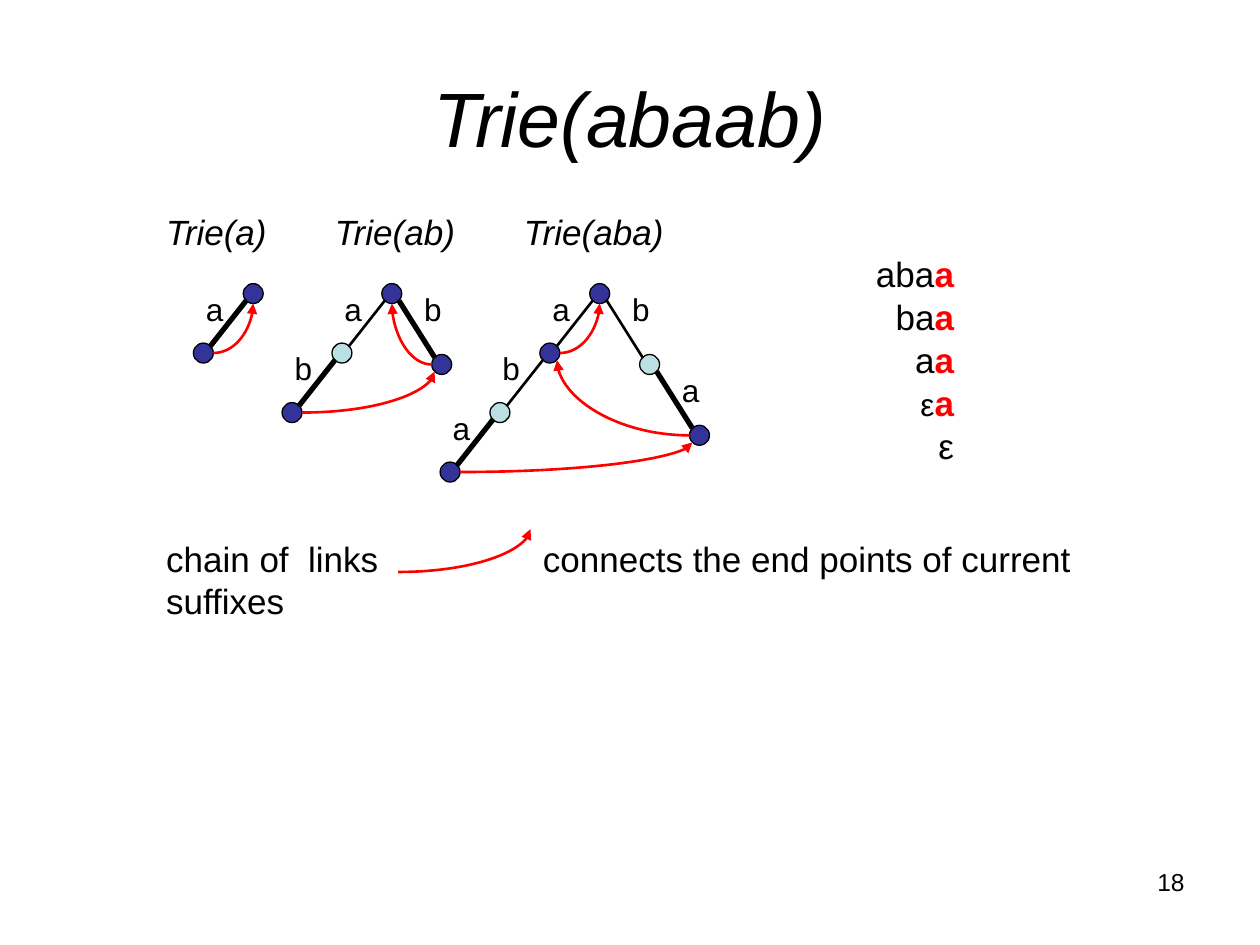
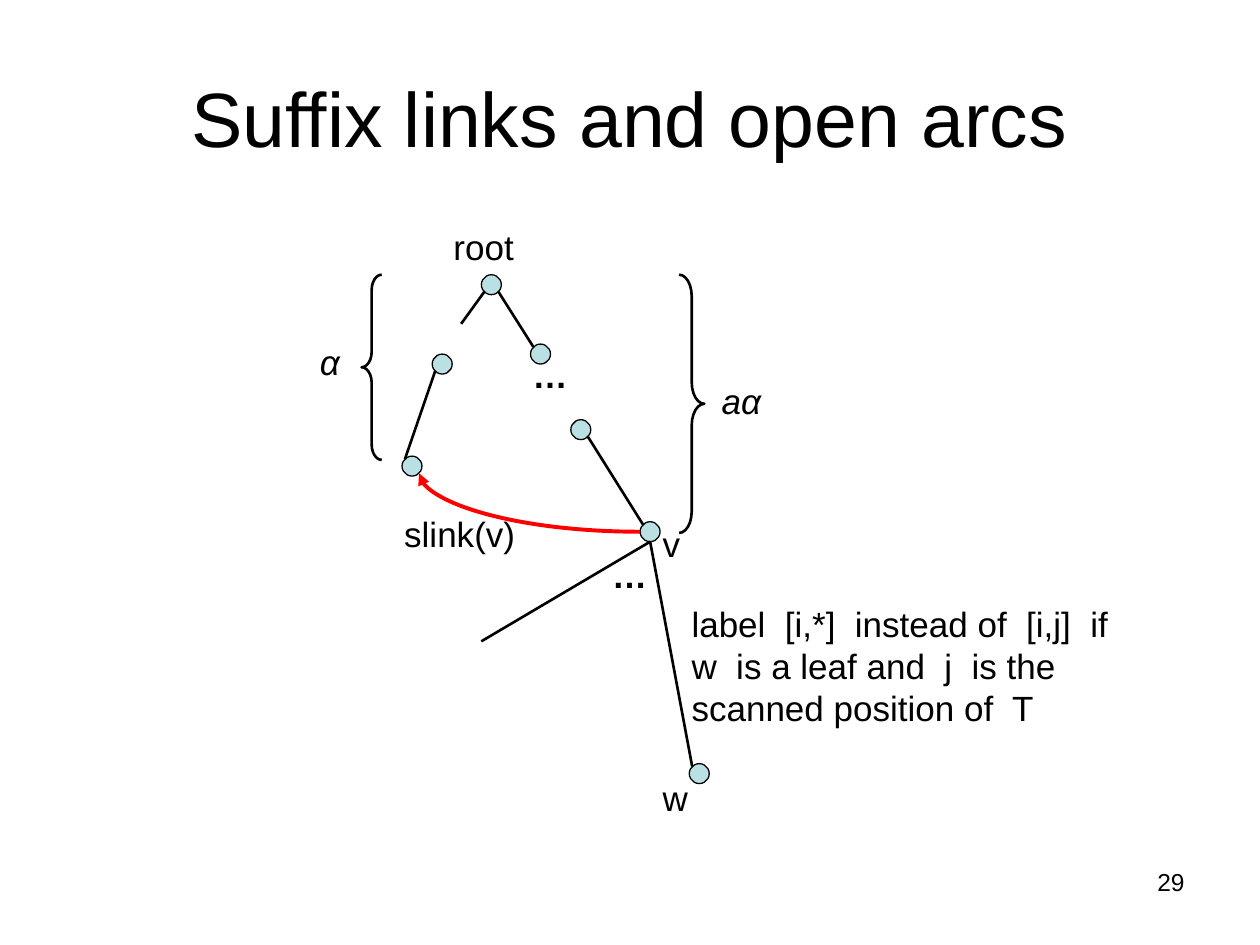
import pptx
import pptx.util
import pptx.dml.color
import pptx.enum.shapes
import pptx.enum.text
import pptx.oxml.ns
import lxml.etree

Pt = pptx.util.Pt
RGBColor = pptx.dml.color.RGBColor
SHAPE = pptx.enum.shapes.MSO_SHAPE
LINK = pptx.enum.shapes.MSO_CONNECTOR
ALIGN = pptx.enum.text.PP_ALIGN
ANCHOR = pptx.enum.text.MSO_ANCHOR
qn = pptx.oxml.ns.qn

BLACK = RGBColor(0x00, 0x00, 0x00)
RED = RGBColor(0xFF, 0x00, 0x00)
NAVY = RGBColor(0x33, 0x33, 0x99)
PALE = RGBColor(0xBB, 0xE0, 0xE3)

WIDE, HIGH = pptx.util.Inches(10), pptx.util.Inches(7.5)
COL, ROW, DROP = Pt(28.5), Pt(34), Pt(40.5)  # trie grid; DROP is a row on the right branch
RAD = Pt(5.7)  # node radius

PLAIN = {"name": "Arial", "size": Pt(20), "bold": False, "italic": False}
ITALIC = PLAIN | {"italic": True}
BOLD = PLAIN | {"bold": True}
LABEL = PLAIN | {"size": Pt(18)}
TITLE = PLAIN | {"size": Pt(44)}
FOOT = PLAIN | {"size": Pt(14)}


def spot(x, y):
    """Turn percent of the slide's width and height into a point."""
    return round(WIDE * x / 100), round(HIGH * y / 100)


def rim(node, right, down):
    """Point on a node's edge in the given direction (-1, 0 or 1 each way)."""
    reach = RAD * 0.71 if right and down else RAD
    return round(node[0] + right * reach), round(node[1] + down * reach)


def add_run(par, text, form, color=BLACK):
    run = par.add_run()
    run.text = text
    for key, val in form.items():
        setattr(run.font, key, val)
    run.font.color.rgb = color


def add_box(slide, point, size):
    box = slide.shapes.add_textbox(*point, *size)
    box.text_frame.word_wrap = True
    return box.text_frame


def add_text(slide, point, size, text, form=PLAIN, align=ALIGN.LEFT):
    par = add_box(slide, point, size).paragraphs[0]
    par.alignment = align
    add_run(par, text, form)
    return par


def add_node(slide, center, color=PALE):
    dot = slide.shapes.add_shape(SHAPE.OVAL, *rim(center, -1, 0), 2 * RAD, 2 * RAD)
    dot.top = center[1] - RAD
    dot.shadow.inherit = False
    dot.fill.solid()
    dot.fill.fore_color.rgb = color
    dot.line.color.rgb = BLACK
    dot.line.width = Pt(0.75)


def add_edge(slide, start, end, width=1.5, kind=LINK.STRAIGHT, color=BLACK):
    edge = slide.shapes.add_connector(kind, *start, *end)
    edge.line.color.rgb = color
    edge.line.width = Pt(width)
    lxml.etree.SubElement(edge._element.spPr, qn("a:effectLst"))
    return edge


def add_link(slide, start, end, width=1.5):
    """Red arrow that leaves sideways and bends upwards."""
    link = add_edge(slide, start, end, width, LINK.CURVE, RED)
    props = link._element.spPr
    props.find(qn("a:prstGeom")).set("prst", "curvedConnector2")
    if end[0] < start[0]:
        frame = props.find(qn("a:xfrm"))
        for flip in ("flipH", "flipV"):
            frame.attrib.pop(flip, None)
        frame.set("rot", "10800000")
    lxml.etree.SubElement(props.find(qn("a:ln")), qn("a:tailEnd"), type="triangle")


def add_brace(slide, kind, point, size):
    brace = slide.shapes.add_shape(kind, *point, *size)
    brace.shadow.inherit = False
    brace.fill.background()
    brace.line.color.rgb = BLACK
    brace.line.width = Pt(1.5)
    brace.adjustments[0] = size[1] / size[0] / 12


def add_trie(slide, word, root):
    """Draw all suffixes of word, with links from each suffix to the next."""
    tails = [word[i:] for i in range(len(word) + 1)]
    names = sorted({tail[:n] for tail in tails for n in range(len(tail) + 1)})

    def place(name):
        side, step = (1, DROP) if name.startswith("b") else (-1, ROW)
        return root[0] + side * len(name) * COL, root[1] + len(name) * step

    for name in names:
        node = place(name)
        add_node(slide, node, NAVY if name in tails else PALE)
        if not name:
            continue
        above = place(name[:-1])
        side = 1 if node[0] > above[0] else -1
        leaf = not any(other.startswith(name) for other in names if other != name)
        add_edge(slide, rim(above, side, 1), rim(node, -side, -1), 3 if leaf else 1.5)
        left = above[0] + 2 * RAD if side > 0 else node[0] - RAD
        top = above[1] - (0 if side > 0 and len(name) > 1 else RAD)
        add_text(slide, (left, top), spot(3.2, 5.33), name[-1], LABEL)

    for old, new in zip(tails, tails[1:]):
        start, end = place(old), place(new)
        side = 1 if end[0] > start[0] else -1
        add_link(slide, rim(start, side, 0), rim(end, -side if new else 0, 1))


def add_slide(deck, title, number, form=TITLE):
    slide = deck.slides.add_slide(deck.slide_layouts[5])
    head = slide.shapes.title
    head.left, head.top = spot(5, 4)
    head.width, head.height = spot(90, 16.67)
    head.text_frame.vertical_anchor = ANCHOR.MIDDLE
    par = head.text_frame.paragraphs[0]
    par.alignment = ALIGN.CENTER
    add_run(par, title, form)
    add_text(slide, spot(71.7, 91.07), spot(23.3, 6.93), number, FOOT, ALIGN.RIGHT)
    return slide


def add_tails(slide):
    """List the suffixes, each with its newest letter in red."""
    frame = add_box(slide, spot(61, 28), spot(15.7, 35.33))
    rows = [("aba", "a"), ("ba", "a"), ("a", "a"), ("ε", "a"), ("ε", "")]
    for i, (old, new) in enumerate(rows):
        par = frame.add_paragraph() if i else frame.paragraphs[0]
        par.alignment = ALIGN.RIGHT
        par.line_spacing = 0.5
        par.space_before = Pt(12.5)
        add_run(par, old, LABEL if old == "ε" and new else PLAIN)
        if new:
            add_run(par, new, BOLD, RED)


def draw_tries(deck):
    slide = add_slide(deck, "Trie(abaab)", "18", TITLE | {"italic": True})
    for word, left, root in (("a", 12.2, 20.1), ("ab", 25.6, 31.1), ("aba", 40.6, 47.6)):
        add_text(slide, spot(left, 21.6), spot(15.7, 5.87), f"Trie({word})", ITALIC)
        add_trie(slide, word, spot(root, 31.07))
    add_tails(slide)
    par = add_text(slide, spot(12.2, 56.27), spot(75.6, 10.27),
                   "chain of  links\tconnects the end points of current suffixes")
    stops = lxml.etree.SubElement(par._p.get_or_add_pPr(), qn("a:tabLst"))
    lxml.etree.SubElement(stops, qn("a:tab"), pos=str(spot(29.9, 0)[0]), algn="l")
    add_link(slide, spot(31.6, 60.53), spot(42.1, 56))


def draw_arcs(deck):
    slide = add_slide(deck, "Suffix links and open arcs", "29")
    nodes = [spot(*place) for place in (
        (39, 30.13), (42.9, 37.47), (46.1, 45.47), (51.6, 56.27),
        (55.5, 81.87), (35.1, 38.53), (32.7, 49.33))]
    root, near, deep, v, w, left, goal = nodes
    for node in nodes:
        add_node(slide, node)
    for start, end in (
            (rim(root, 1, 1), rim(near, -1, -1)),
            (rim(deep, 1, 1), rim(v, -1, -1)),
            (rim(v, 0, 1), rim(w, -1, -1)),
            (rim(v, 0, 1), spot(38.2, 67.87)),
            (rim(root, -1, 1), spot(36.6, 34.27)),
            (rim(left, -1, 1), rim(goal, -1, -1))):
        add_edge(slide, start, end)
    add_link(slide, rim(v, -1, 0), rim(goal, 1, 1), 2.25)
    add_brace(slide, SHAPE.RIGHT_BRACE, spot(53.9, 29.07), spot(2, 27.33))
    add_brace(slide, SHAPE.LEFT_BRACE, spot(28.7, 29.07), spot(1.6, 19.6))
    for text, x, y, width, form in (
            ("…", 41.3, 36.8, 6.3, BOLD),
            ("…", 47.6, 57.87, 6.3, BOLD),
            ("v", 51.6, 54.67, 3.1, PLAIN),
            ("w", 51.6, 81.47, 10.2, PLAIN),
            ("root", 35, 23.2, 10.2, PLAIN),
            ("slink(v)", 31.1, 53.6, 13.4, PLAIN),
            ("α", 24.4, 35.33, 10.6, ITALIC),
            ("aα", 56.3, 39.47, 10.6, ITALIC)):
        add_text(slide, spot(x, y), spot(width, 5.87), text, form)
    add_text(slide, spot(53.9, 63.07), spot(35.4, 14.67),
             "label  [i,*]  instead of  [i,j]  if w  is a leaf and  j  is the "
             "scanned position of  T")


def main():
    deck = pptx.Presentation()
    deck.slide_width, deck.slide_height = WIDE, HIGH
    draw_tries(deck)
    draw_arcs(deck)
    deck.save("out.pptx")


if __name__ == "__main__":
    main()
